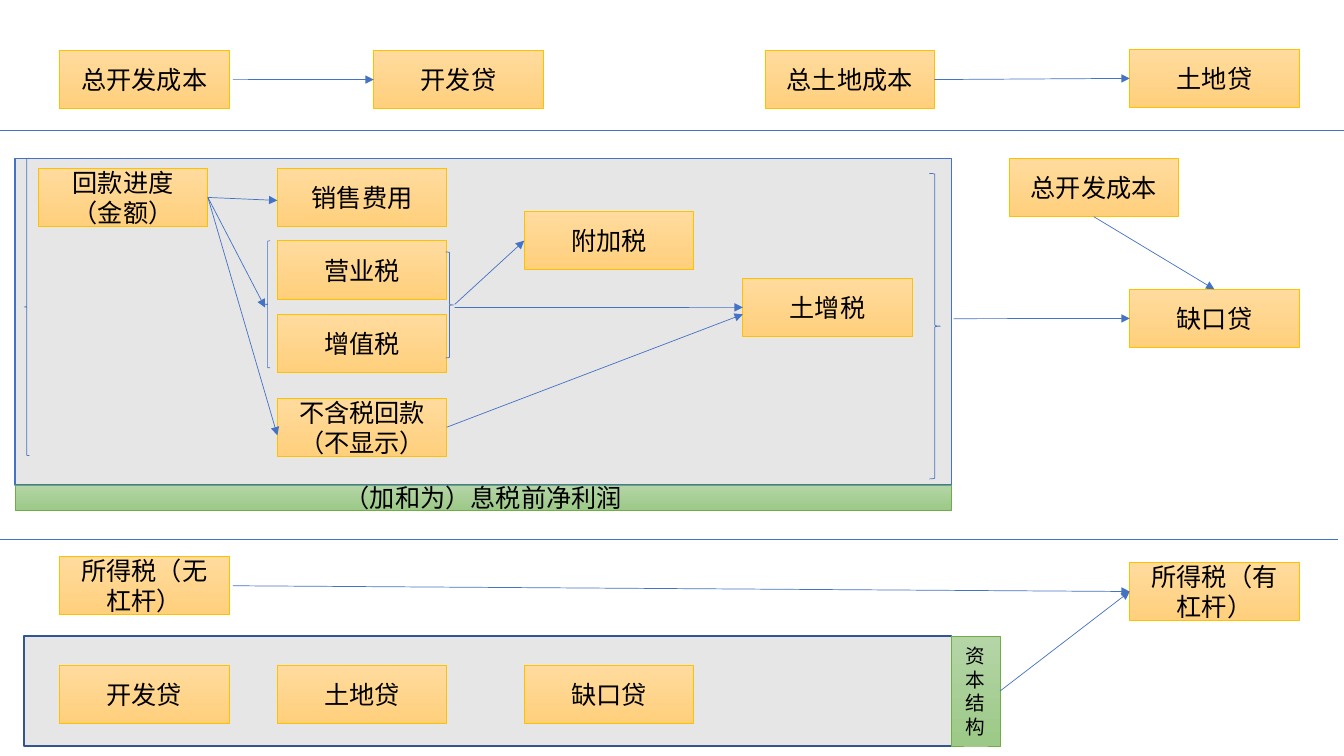
from dataclasses import dataclass

from lxml.etree import SubElement
from pptx import Presentation
from pptx.dml.color import RGBColor
from pptx.enum.shapes import MSO_CONNECTOR as Connector, MSO_SHAPE as Shape
from pptx.enum.text import MSO_ANCHOR as Anchor, PP_ALIGN as Align
from pptx.oxml.ns import qn
from pptx.util import Cm, Pt

TOP, LEFT, BOTTOM, RIGHT = range(4)


@dataclass(frozen=True)
class Theme:
    font: str = "Calibri"
    text: str = "000000"
    text_size: int = 18
    small_size: int = 14
    step_fill: tuple = ("FFDB9E", "FFD07C")
    step_line: str = "FFC000"
    result_fill: tuple = ("B5D5A7", "9CC987")
    result_line: str = "70AD47"
    panel_fill: str = "E7E6E6"
    panel_line: str = "325491"
    accent: str = "4472C4"
    thin: float = 0.5
    thick: float = 1


class FlowSlide:
    """Draws the parts of a flow chart; all lengths are in centimetres."""

    STEP_WIDTH, STEP_HEIGHT = 4.27, 1.47

    def __init__(self, slide, theme):
        self.shapes = slide.shapes
        self.theme = theme

    def outline(self, item, colour, weight):
        item.line.color.rgb = RGBColor.from_string(colour)
        item.line.width = Pt(weight)

    def area(self, kind, x, y, width, height, line, weight):
        """Add an unfilled preset shape."""
        area = self.shapes.add_shape(kind, Cm(x), Cm(y), Cm(width), Cm(height))
        area.shadow.inherit = False
        area.fill.background()
        self.outline(area, line, weight)
        return area

    def panel(self, kind, x, y, width, height, line):
        panel = self.area(kind, x, y, width, height, line, self.theme.thick)
        panel.fill.solid()
        panel.fill.fore_color.rgb = RGBColor.from_string(self.theme.panel_fill)

    def brace(self, kind, x, y, width, height):
        self.area(kind, x, y, width, height, self.theme.accent, self.theme.thin)

    def label(self, text, x, y, width, height, colours, line, size):
        """Add a rectangle with a downward gradient and centred text."""
        label = self.area(Shape.RECTANGLE, x, y, width, height, line, self.theme.thin)
        label.fill.gradient()
        label.fill.gradient_angle = 270
        for stop, colour in zip(label.fill.gradient_stops, colours):
            stop.color.rgb = RGBColor.from_string(colour)
        frame = label.text_frame
        frame.word_wrap = True
        frame.vertical_anchor = Anchor.MIDDLE
        paragraph = frame.paragraphs[0]
        paragraph.text = text
        paragraph.alignment = Align.CENTER
        paragraph.font.name = self.theme.font
        paragraph.font.size = Pt(size)
        paragraph.font.color.rgb = RGBColor.from_string(self.theme.text)
        return label

    def step(self, text, x, y):
        return self.label(text, x, y, self.STEP_WIDTH, self.STEP_HEIGHT,
                          self.theme.step_fill, self.theme.step_line,
                          self.theme.text_size)

    def result(self, text, x, y, width, height, size):
        return self.label(text, x, y, width, height, self.theme.result_fill,
                          self.theme.result_line, size)

    def rule(self, start, end):
        rule = self.shapes.add_connector(
            Connector.STRAIGHT, *(Cm(value) for value in (*start, *end)))
        self.outline(rule, self.theme.accent, self.theme.thin)
        SubElement(rule._element.spPr, qn("a:effectLst"))
        return rule

    def arrow(self, start, end):
        """Join two ends, each an (x, y) point or a (step, side) pair."""
        def is_point(place):
            return isinstance(place[0], (int, float))

        arrow = self.rule(start if is_point(start) else (0, 0),
                          end if is_point(end) else (0, 0))
        if not is_point(start):
            arrow.begin_connect(*start)
        if not is_point(end):
            arrow.end_connect(*end)
        SubElement(arrow.line._get_or_add_ln(), qn("a:tailEnd"), type="triangle")


def draw_loans(flow):
    flow.step("总开发成本", 1.5, 1.27)
    development_loan = flow.step("开发贷", 9.42, 1.27)
    land_cost = flow.step("总土地成本", 19.28, 1.27)
    land_loan = flow.step("土地贷", 28.47, 1.24)
    flow.arrow((5.87, 2), (development_loan, LEFT))
    flow.arrow((land_cost, RIGHT), (land_loan, LEFT))
    flow.rule((0, 3.28), (33.87, 3.28))


def draw_profit(flow):
    flow.panel(Shape.FLOWCHART_PROCESS, 0.38, 3.99, 23.6, 8.23, flow.theme.accent)
    receipts = flow.step("回款进度（金额）", 0.97, 4.24)
    flow.step("销售费用", 6.99, 4.24)
    flow.step("营业税", 6.99, 6.07)
    flow.step("增值税", 6.99, 7.92)
    net_receipts = flow.step("不含税回款（不显示）", 6.99, 10.03)
    surtax = flow.step("附加税", 13.21, 5.33)
    land_tax = flow.step("土增税", 18.72, 7.01)
    flow.brace(Shape.LEFT_BRACE, 6.68, 6.07, 0.13, 3.2)
    flow.brace(Shape.RIGHT_BRACE, 11.23, 6.35, 0.2, 2.67)
    flow.brace(Shape.LEFT_BRACE, 0.61, 3.99, 0.13, 7.49)
    flow.brace(Shape.RIGHT_BRACE, 23.42, 4.37, 0.28, 7.7)
    for target in ((6.99, 5.05), (6.68, 7.75), (6.99, 10.97)):
        flow.arrow((receipts, RIGHT), target)
    flow.arrow((11.46, 7.67), (surtax, LEFT))
    flow.arrow((11.46, 7.75), (land_tax, LEFT))
    flow.arrow((net_receipts, RIGHT), (18.72, 7.92))
    flow.result("（加和为）息税前净利润", 0.38, 12.22, 23.6, 0.64,
                flow.theme.text_size)

    total_cost = flow.step("总开发成本", 25.43, 3.99)
    gap_loan = flow.step("缺口贷", 28.47, 7.29)
    flow.arrow((24.03, 8.03), (gap_loan, LEFT))
    flow.arrow((total_cost, BOTTOM), (gap_loan, TOP))
    flow.rule((0, 13.59), (33.73, 13.59))


def draw_income_tax(flow):
    flow.panel(Shape.RECTANGLE, 0.61, 16.03, 23.37, 2.77, flow.theme.panel_line)
    for loan, x in (("开发贷", 1.5), ("土地贷", 6.99), ("缺口贷", 13.21)):
        flow.step(loan, x, 16.76)
    capital = flow.result("资本结构", 23.98, 16.03, 1.22, 2.77, flow.theme.small_size)
    flow.step("所得税（无杠杆）", 1.5, 14.02)
    levered_tax = flow.step("所得税（有杠杆）", 28.47, 14.17)
    flow.arrow((5.87, 14.76), (levered_tax, LEFT))
    flow.arrow((capital, RIGHT), (levered_tax, LEFT))


def main():
    deck = Presentation()
    deck.slide_width, deck.slide_height = Cm(33.87), Cm(19.05)
    blank_layout = deck.slide_layouts[6]
    flow = FlowSlide(deck.slides.add_slide(blank_layout), Theme())
    draw_loans(flow)
    draw_profit(flow)
    draw_income_tax(flow)
    deck.save("out.pptx")


if __name__ == "__main__":
    main()
